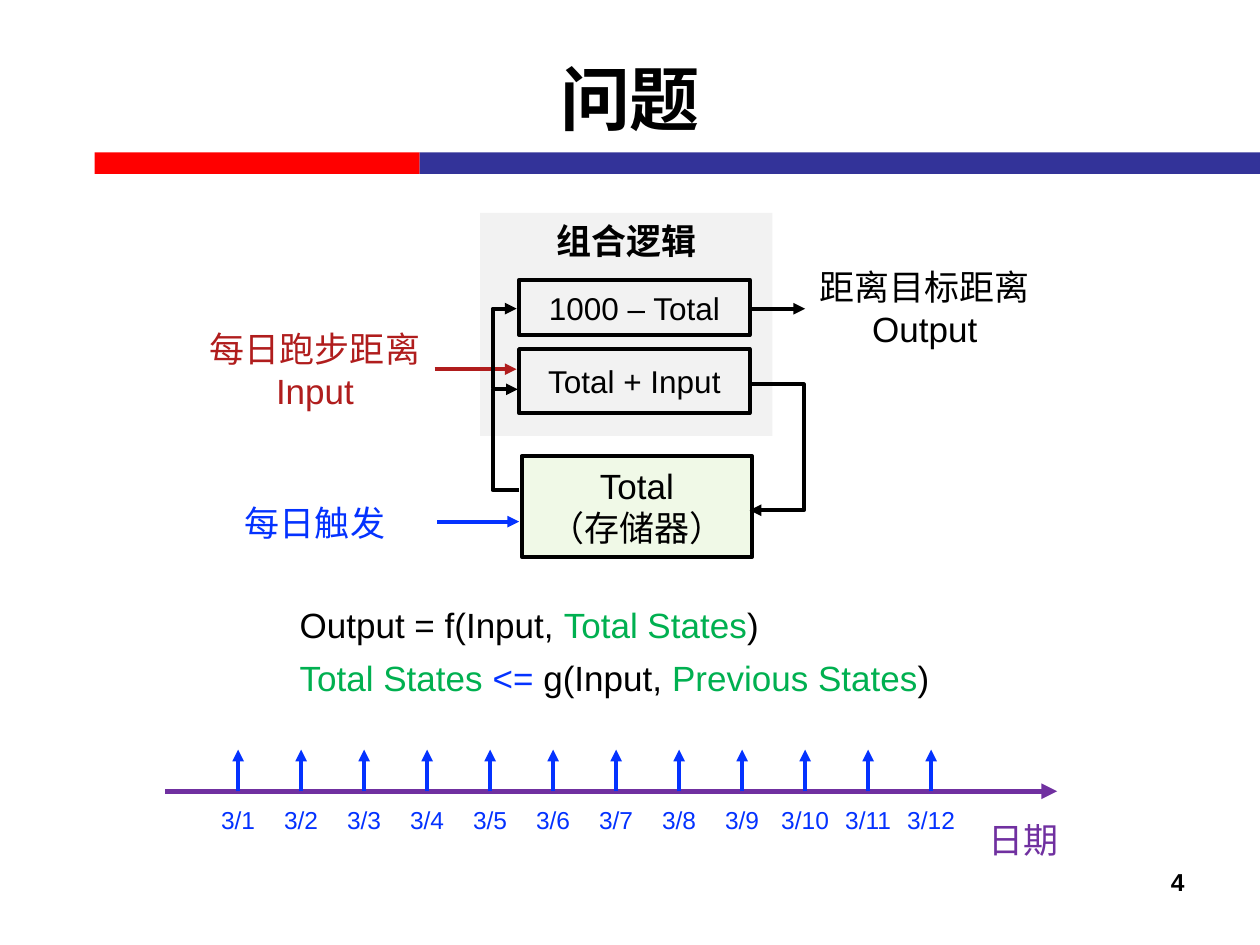
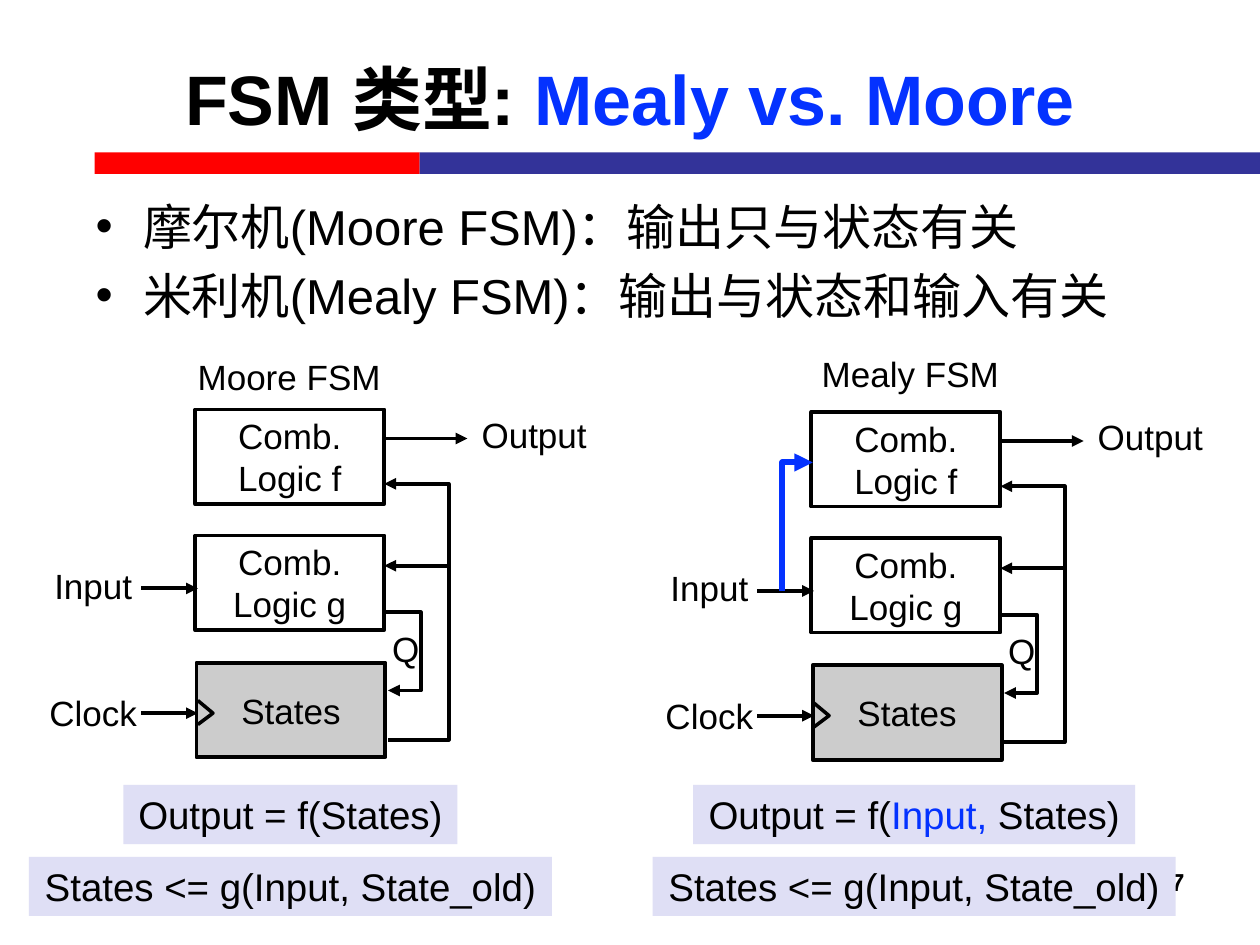
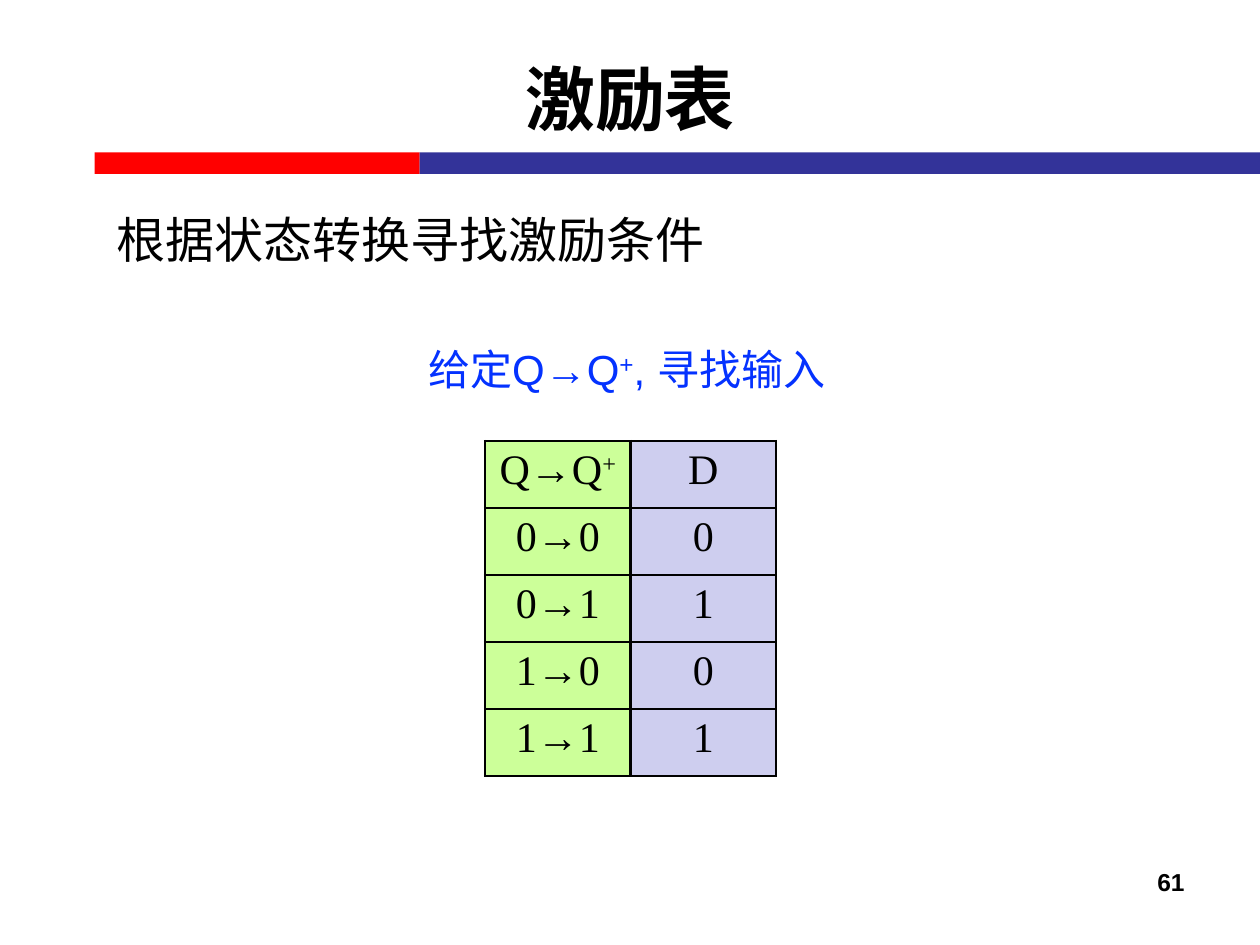
from lxml.etree import SubElement as Sub
from pptx import Presentation
from pptx.dml.color import RGBColor
from pptx.enum.shapes import MSO_CONNECTOR as Link, MSO_SHAPE as Kind
from pptx.enum.text import MSO_ANCHOR as Anchor, MSO_AUTO_SIZE as Fit, PP_ALIGN as Align
from pptx.oxml.ns import qn
from pptx.util import Inches, Pt

BLACK = RGBColor(0x00, 0x00, 0x00)
RED = RGBColor(0xFF, 0x00, 0x00)
NAVY = RGBColor(0x33, 0x33, 0x99)
BLUE = RGBColor(0x04, 0x32, 0xFF)
BRICK = RGBColor(0xB0, 0x1D, 0x1D)
GREEN = RGBColor(0x00, 0xB0, 0x50)
PURPLE = RGBColor(0x70, 0x30, 0xA0)
PALE = RGBColor(0xF2, 0xF2, 0xF2)
MINT = RGBColor(0xF0, 0xF9, 0xE7)
GREY = RGBColor(0xCC, 0xCC, 0xCC)
LILAC = RGBColor(0xDF, 0xDF, 0xF5)
LIME = RGBColor(0xCC, 0xFF, 0x99)
MAUVE = RGBColor(0xCE, 0xCE, 0xEF)

BANDS = [((0.75, 1.21, 2.58, 0.17), RED), ((3.33, 1.21, 6.67, 0.17), NAVY)]

# A paragraph is a string or a list of runs: (text, colour[, superscript])
RULES = [
    [("Output = f(Input, ", BLACK), ("Total States", GREEN), (")", BLACK)],
    [("Total States ", GREEN), ("<= ", BLUE), ("g(Input, ", BLACK),
     ("Previous States", GREEN), (")", BLACK)],
]
RUN_BOXES = [
    ((4.12, 2.77, 1.83, 0.51), ["Total + Input"], 18, None),
    ((4.12, 2.22, 1.83, 0.44), ["1000 – Total"], 18, None),
    ((4.14, 3.62, 1.83, 0.8), ["Total", "（存储器）"], 20, MINT),
]
RUN_PATHS = [
    ([(5.97, 2.45), (6.39, 2.45)], BLACK),
    ([(5.95, 3.05), (6.38, 3.05), (6.38, 4.05), (5.95, 4.05)], BLACK),
    ([(4.12, 3.89), (3.91, 3.89), (3.91, 3.09), (4.11, 3.09)], BLACK),
    ([(3.47, 4.14), (4.12, 4.14)], BLUE),
    ([(3.45, 2.93), (4.1, 2.93)], BRICK),
    ([(3.91, 3.08), (3.91, 2.45), (4.1, 2.45)], BLACK),
]
DAYS = 12

TYPES = ["摩尔机(Moore FSM)：输出只与状态有关", "米利机(Mealy FSM)：输出与状态和输入有关"]
FSM_BOXES = [
    ((1.55, 3.25), "Comb. Logic f", None),
    ((1.55, 4.25), "Comb. Logic g", None),
    ((1.56, 5.26), "States", GREY),
]
FSM_LABELS = [
    ((0.33, 4.43, 0.82, 0.44), "Input"),
    ((3.72, 3.23, 1.04, 0.44), "Output"),
    ((0.29, 5.44, 0.9, 0.44), "Clock"),
    ((3.01, 4.93, 0.42, 0.44), "Q"),
]
FSM_PATHS = [
    [(3.05, 3.48), (3.71, 3.48)],
    [(1.12, 5.66), (1.57, 5.66)],
    [(1.12, 4.67), (1.57, 4.67)],
    [(3.08, 5.87), (3.56, 5.87), (3.56, 3.84), (3.05, 3.84)],
    [(3.04, 4.86), (3.34, 4.86), (3.34, 5.48), (3.08, 5.48)],
    [(3.57, 4.49), (3.05, 4.49)],
]
NOTCH = [(1.57, 5.56), (1.69, 5.66), (1.57, 5.75)]
NEXT = ["States <= g(Input, State_old)"]
MEALY_OUT = [[("Output = f(", BLACK), ("Input, ", BLUE), ("States)", BLACK)]]
# shift of the drawing, then the name and the two formulas with their places
MACHINES = [
    ((0, 0), [((1.44, 2.77, 1.71, 0.44), ["Moore FSM"], 20, None),
              ((0.98, 6.23, 2.65, 0.47), ["Output = f(States)"], 22, LILAC),
              ((0.23, 6.8, 4.15, 0.47), NEXT, 22, LILAC)]),
    ((4.89, 0.02), [((6.4, 2.75, 1.65, 0.44), ["Mealy FSM"], 20, None),
                    ((5.5, 6.23, 3.51, 0.47), MEALY_OUT, 22, LILAC),
                    ((5.18, 6.8, 4.15, 0.47), NEXT, 22, LILAC)]),
]

ASK = [[("给定Q→Q", BLUE), ("+", BLUE, True), (", 寻找输入", BLUE)]]
EXCITE = [
    ([("Q→Q", BLACK), ("+", BLACK, True)], "D"),
    ("0→0", "0"),
    ("0→1", "1"),
    ("1→0", "0"),
    ("1→1", "1"),
]


def write(frame, paras, size, color=BLACK, bold=False, align=Align.CENTER,
          font="Arial", gap=None):
    for i, runs in enumerate(paras):
        para = frame.paragraphs[0] if i == 0 else frame.add_paragraph()
        para.alignment = align
        if gap:
            para.line_spacing = gap
        for text, tint, *sup in [(runs, color)] if isinstance(runs, str) else runs:
            run = para.add_run()
            run.text = text
            face = run.font
            face.name, face.size, face.bold = font, Pt(size), bold
            face.color.rgb = tint
            if sup:
                run._r.get_or_add_rPr().set("baseline", "30000")


def place(shape, at):
    shape.left, shape.top, shape.width, shape.height = map(Inches, at)


def add_rect(slide, at, fill=None, line=None):
    rect = slide.shapes.add_shape(Kind.RECTANGLE, *map(Inches, at))
    rect.shadow.inherit = False
    if fill is None:
        rect.fill.background()
    else:
        rect.fill.solid()
        rect.fill.fore_color.rgb = fill
    if line is None:
        rect.line.fill.background()
    else:
        rect.line.color.rgb = line
        rect.line.width = Pt(2.25)
    return rect


def add_text(slide, at, paras, size, fill=None, line=None, wrap=False, **style):
    """Text in a plain box, or in a rectangle when it has a fill or a line."""
    if fill is None and line is None:
        box = slide.shapes.add_textbox(*map(Inches, at))
    else:
        box = add_rect(slide, at, fill, line)
    frame = box.text_frame
    frame.word_wrap = wrap
    frame.vertical_anchor = Anchor.TOP if line is None else Anchor.MIDDLE
    write(frame, paras, size, **style)


def add_path(slide, points, color=BLACK, width=2.25, arrow=True):
    """A straight connector for two points, an open outline for more."""
    dots = [(Inches(x), Inches(y)) for x, y in points]
    if len(dots) == 2:
        path = slide.shapes.add_connector(Link.STRAIGHT, *dots[0], *dots[1])
    else:
        pen = slide.shapes.build_freeform(*dots[0])
        pen.add_line_segments(dots[1:], close=False)
        path = pen.convert_to_shape()
        path.fill.background()
    path.line.color.rgb = color
    path.line.width = Pt(width)
    props = path.element.spPr
    if arrow:
        Sub(props.find(qn("a:ln")), qn("a:tailEnd"), type="triangle")
    Sub(props, qn("a:effectLst"))


def add_slide(deck, title, page, layout=5):
    slide = deck.slides.add_slide(deck.slide_layouts[layout])
    for at, color in BANDS:
        add_rect(slide, at, color)
    head = slide.shapes.title
    place(head, (0.5, 0.15, 9, 1.25))
    head.text_frame.auto_size = Fit.NONE
    head.text_frame.vertical_anchor = Anchor.MIDDLE
    write(head.text_frame, [title], 40, bold=True)
    add_text(slide, (7.17, 6.83, 2.33, 0.52), [page], 14, wrap=True,
             bold=True, align=Align.RIGHT)
    return slide


def add_days(slide):
    base = 6.28
    add_path(slide, [(1.31, base), (8.39, base)], PURPLE, 3)
    add_text(slide, (7.74, 6.45, 0.76, 0.44), ["日期"], 20, color=PURPLE)
    for i in range(DAYS):
        x = 1.89 + 0.5 * i
        add_path(slide, [(x, base), (x, 5.95)], BLUE)
        add_text(slide, (x - 0.3, 6.34, 0.6, 0.34), [f"3/{i + 1}"], 14, color=BLUE)


def add_problem(deck):
    slide = add_slide(deck, "问题", "4")
    add_text(slide, (3.81, 1.69, 2.32, 1.77), ["组合逻辑"], 20, PALE, bold=True)
    for at, paras, size, fill in RUN_BOXES:
        add_text(slide, at, paras, size, fill, BLACK, wrap=True)
    for points, color in RUN_PATHS:
        add_path(slide, points, color)
    add_text(slide, (1.56, 2.55, 1.88, 0.77), ["每日跑步距离 Input"], 20,
             wrap=True, color=BRICK)
    add_text(slide, (6.4, 2.06, 1.88, 0.77), ["距离目标距离", "Output"], 20)
    add_text(slide, (1.84, 3.93, 1.32, 0.44), ["每日触发"], 20, color=BLUE)
    add_text(slide, (2.28, 4.66, 5.31, 0.9), RULES, 20, align=Align.LEFT, gap=1.25)
    add_days(slide)


def add_machine(slide, shift, texts):
    dx, dy = shift

    def move(points):
        return [(x + dx, y + dy) for x, y in points]

    for spot, name, fill in FSM_BOXES:
        add_text(slide, (*move([spot])[0], 1.5, 0.75), [name], 20, fill, BLACK, wrap=True)
    for (x, y, w, h), name in FSM_LABELS:
        add_text(slide, (x + dx, y + dy, w, h), [name], 20)
    for points in FSM_PATHS:
        add_path(slide, move(points))
    add_path(slide, move(NOTCH), width=2, arrow=False)
    for at, paras, size, fill in texts:
        add_text(slide, at, paras, size, fill)


def add_types(deck):
    title = [("FSM 类型: ", BLACK), ("Mealy vs. Moore", BLUE)]
    slide = add_slide(deck, title, "17", layout=1)
    body = slide.placeholders[1]
    place(body, (0.66, 1.51, 9, 1.18))
    body.text_frame.auto_size = Fit.NONE
    write(body.text_frame, TYPES, 28, align=Align.LEFT)
    body.text_frame.paragraphs[0].space_before = Pt(0)
    for shift, texts in MACHINES:
        add_machine(slide, shift, texts)
    add_path(slide, [(6.21, 4.69), (6.21, 3.67), (6.45, 3.67)], BLUE, 3.5)


def frame_cell(cell):
    props = cell._tc.get_or_add_tcPr()
    for side in "LRTB":
        edge = Sub(props, qn(f"a:ln{side}"), w=str(Pt(1.5)))
        Sub(Sub(edge, qn("a:solidFill")), qn("a:srgbClr"), val=str(BLACK))


def add_excite(deck):
    slide = add_slide(deck, "激励表", "61")
    add_text(slide, (0.83, 1.61, 8, 0.57), ["根据状态转换寻找激励条件"], 28,
             wrap=True, align=Align.LEFT)
    add_text(slide, (3.3, 2.68, 3.4, 0.5), ASK, 24, wrap=True, align=Align.LEFT)
    spot = map(Inches, (3.85, 3.5, 2.31, 2.66))
    table = slide.shapes.add_table(len(EXCITE), 2, *spot).table
    table.first_row = table.horz_banding = False
    for r, row in enumerate(EXCITE):
        for c, (text, fill) in enumerate(zip(row, (LIME, MAUVE))):
            cell = table.cell(r, c)
            frame_cell(cell)
            cell.fill.solid()
            cell.fill.fore_color.rgb = fill
            write(cell.text_frame, [text], 24, font="Times New Roman")


def main():
    deck = Presentation()
    deck.slide_width, deck.slide_height = Inches(10), Inches(7.5)
    add_problem(deck)
    add_types(deck)
    add_excite(deck)
    deck.save("out.pptx")


if __name__ == "__main__":
    main()
